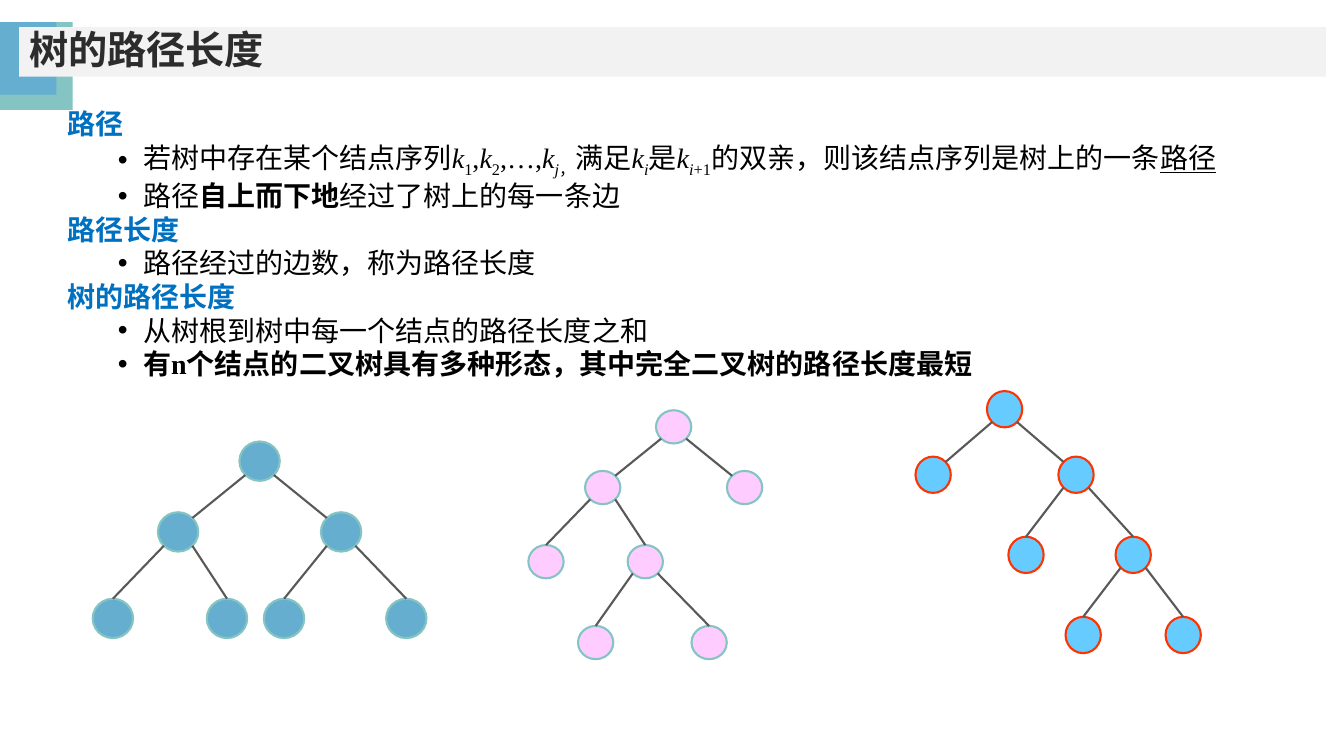
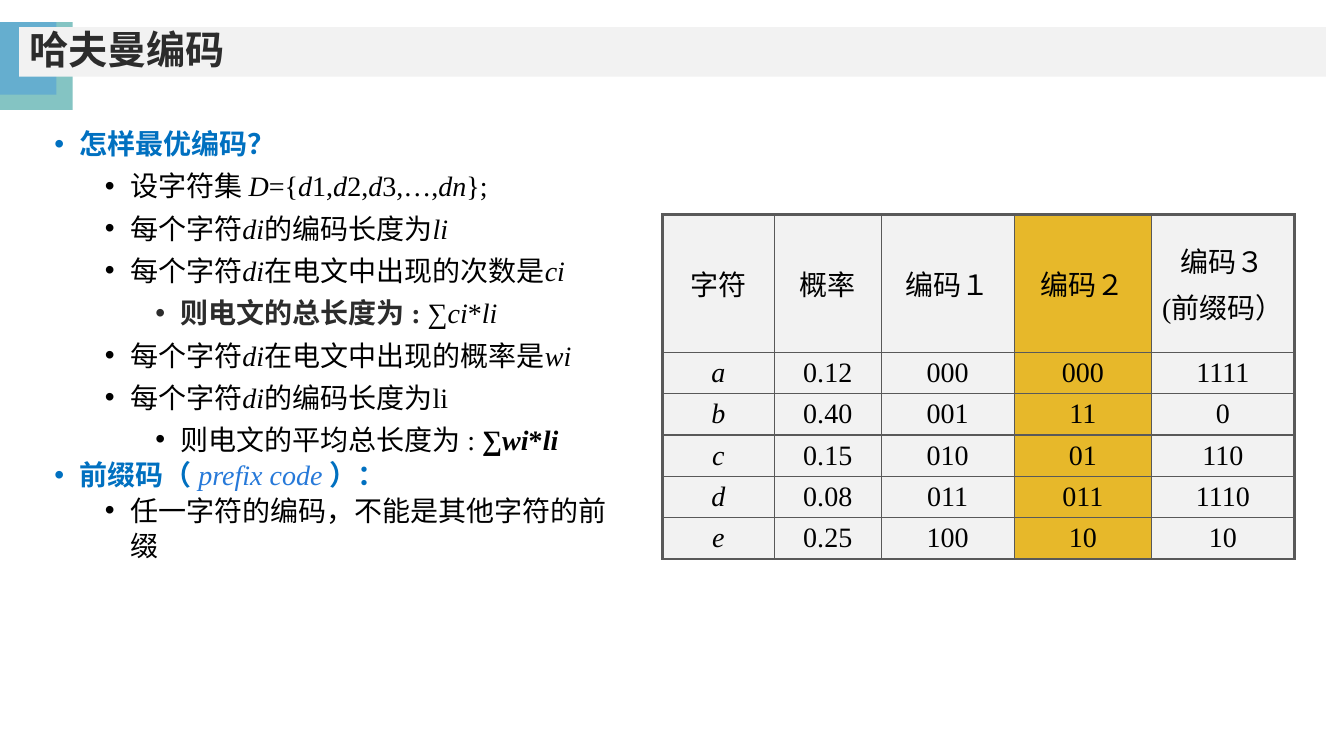
from math import sqrt

from lxml import etree
from pptx import Presentation
from pptx.dml.color import RGBColor
from pptx.enum.shapes import MSO_CONNECTOR, MSO_SHAPE
from pptx.enum.text import MSO_ANCHOR, MSO_AUTO_SIZE, PP_ALIGN
from pptx.oxml.ns import qn
from pptx.util import Inches, Pt

RECT, OVAL = MSO_SHAPE.RECTANGLE, MSO_SHAPE.OVAL
STRAIGHT = MSO_CONNECTOR.STRAIGHT
MIDDLE, TOP = MSO_ANCHOR.MIDDLE, MSO_ANCHOR.TOP
LEFT, CENTER = PP_ALIGN.LEFT, PP_ALIGN.CENTER
NO_FIT = MSO_AUTO_SIZE.NONE

SANS, SERIF, LATIN = "Noto Sans CJK SC", "Times New Roman", "Arial"
BLUE, TEAL, PALE, INK = "65AECF", "84C4C3", "F2F2F2", "2C2C2C"
HEADING, BLACK, EDGE, GOLD = "0070C0", "000000", "595959", "E7B82A"
LINK_BLUE = "2679D9"
TITLE_BOX = (0.19, 0.27, 12.96, 0.49)
BANDS = [((0, 0.22, 0.72, 0.87), TEAL), ((0, 0.22, 0.56, 0.72), BLUE)]

STYLES = {
    "h": dict(font=SANS, color=HEADING, bold=True),
    "i": dict(italic=True),
    "b": dict(bold=True),
    "u": dict(underline=True),
    "s": dict(baseline=-25),
    "d": dict(color=INK),
    "l": dict(color=LINK_BLUE),
}

K, DI, LI, D = ("k", "i"), ("di", "i"), ("li", "i"), ("d", "i")

PATH_LINES = [
    (0, [("路径", "h")]),
    (1, ["若树中存在某个结点序列", K, ("1", "s"), ",", K, ("2", "s"), ",…,",
         K, ("j", "is"), ("，", "s"), "满足", K, ("i", "is"), "是",
         K, ("i", "is"), ("+1", "s"), "的双亲，则该结点序列是树上的一条",
         ("路径", "u")]),
    (1, ["路径", ("自上而下地", "b"), "经过了树上的每一条边"]),
    (0, [("路径长度", "h")]),
    (1, ["路径经过的边数，称为路径长度"]),
    (0, [("树的路径长度", "h")]),
    (1, ["从树根到树中每一个结点的路径长度之和"]),
    (1, [("有n个结点的二叉树具有多种形态，其中完全二叉树的路径长度最短", "b")]),
]

CODE_LINES = [
    (0, [("怎样最优编码？", "h")]),
    (1, ["设字符集 ", ("D", "i"), "={", D, "1,", D, "2,", D, "3,…,",
         ("dn", "i"), "};"]),
    (1, ["每个字符", DI, "的编码长度为", LI]),
    (1, ["每个字符", DI, "在电文中出现的次数是", ("ci", "i")]),
    (2, [("则电文的总长度为 : ", "bd"), "∑", ("ci", "i"), "*", LI]),
    (1, ["每个字符", DI, "在电文中出现的概率是", ("wi", "i")]),
    (1, ["每个字符", DI, "的编码长度为li"]),
    (2, ["则电文的平均总长度为 : ", ("∑", "b"), ("wi", "bi"), ("*", "b"),
         ("li", "bi")]),
]

PREFIX_LINES = [
    (0, [("前缀码（ ", "h"), ("prefix code ", "il"), ("）：", "h")]),
    (1, ["任一字符的编码，不能是其他字符的前缀"]),
]

TREES = [
    dict(box=(0.92, 4.38, 3.31, 1.95), node=(0.4, 0.39), fill=BLUE, line=TEAL,
         nodes=[(18, 0, None), (8, 9, 0), (28, 9, 0), (0, 20, 1),
                (14, 20, 1), (21, 20, 2), (36, 20, 2)]),
    dict(box=(9.08, 3.88, 2.83, 2.6), node=(0.35, 0.36), fill="66CCFF",
         line="FF3300",
         nodes=[(10, 0, None), (0, 9, 0), (20, 9, 0), (13, 20, 2),
                (28, 20, 2), (21, 31, 4), (35, 31, 4)]),
    dict(box=(5.24, 4.07, 2.32, 2.47), node=(0.35, 0.33), fill="FFCCFF",
         line=TEAL,
         nodes=[(18, 0, None), (8, 9, 0), (28, 9, 0), (0, 20, 1),
                (14, 20, 1), (7, 32, 4), (23, 32, 4)]),
]

COLUMNS = [1.11, 1.06, 1.32, 1.36, 1.42]
CODES = [
    ["字符", "概率", "编码１", "编码２", "编码３\n(前缀码）"],
    ["a", "0.12", "000", "000", "1111"],
    ["b", "0.40", "001", "11", "0"],
    ["c", "0.15", "010", "01", "110"],
    ["d", "0.08", "011", "011", "1110"],
    ["e", "0.25", "100", "10", "10"],
]


def rgb(color):
    return RGBColor.from_string(color)


def inches(box):
    return [Inches(v) for v in box]


def place(sp, box):
    sp.left, sp.top, sp.width, sp.height = inches(box)


def paint(sp, color):
    sp.fill.solid()
    sp.fill.fore_color.rgb = rgb(color)


def add_text(p, text, font=SERIF, size=20, color=BLACK, bold=False,
             italic=False, underline=False, baseline=0):
    r = p.add_run()
    r.text = text
    f = r.font
    f.name, f.size, f.bold, f.italic = font, Pt(size), bold, italic
    f.color.rgb = rgb(color)
    if underline:
        f.underline = True
    rpr = r._r.get_or_add_rPr()
    if baseline:
        rpr.set("baseline", str(baseline * 1000))
    etree.SubElement(rpr, qn("a:ea")).set("typeface", SANS)


def add_shape(shapes, kind, box, fill, line=None):
    sp = shapes.add_shape(kind, *inches(box))
    sp.shadow.inherit = False
    paint(sp, fill)
    if line:
        sp.line.color.rgb = rgb(line)
        sp.line.width = Pt(1.5)
    else:
        sp.line.fill.background()
    return sp


def add_edge(shapes, start, end):
    edge = shapes.add_connector(STRAIGHT, *inches(start + end))
    edge.line.color.rgb = rgb(EDGE)
    edge.line.width = Pt(1.5)
    etree.SubElement(edge._element.spPr, qn("a:effectLst"))


def move_bands_to_layout(s):
    for number, (box, color) in enumerate(BANDS):
        band = add_shape(s.shapes, RECT, box, color)
        band._element.nvSpPr.cNvPr.set("id", str(20 + number))
        s.slide_layout.shapes._spTree.append(band._element)


def add_title(s, text):
    sp = s.shapes.title
    place(sp, TITLE_BOX)
    paint(sp, PALE)
    tf = sp.text_frame
    tf.auto_size, tf.vertical_anchor = NO_FIT, MIDDLE
    p = tf.paragraphs[0]
    p.alignment, p.line_spacing = LEFT, 0.9
    add_text(p, text, font=LATIN, size=28, color=INK, bold=True)


def set_indent(p, left, bullet):
    ppr = p._p.get_or_add_pPr()
    ppr.set("marL", str(Inches(left)))
    ppr.set("indent", str(Inches(-0.25 if bullet else 0)))
    if bullet:
        etree.SubElement(ppr, qn("a:buFont")).set("typeface", LATIN)
        etree.SubElement(ppr, qn("a:buChar")).set("char", "•")
    else:
        etree.SubElement(ppr, qn("a:buNone"))


def add_line(p, level, parts, bullet, spacing, before):
    p.level = level
    set_indent(p, level * 0.5 + (0.25 if bullet else 0), bullet)
    p.alignment, p.line_spacing, p.space_before = LEFT, spacing, Pt(before)
    for part in parts:
        text, flags = (part, "") if isinstance(part, str) else part
        fmt = {}
        for flag in flags:
            fmt.update(STYLES[flag])
        add_text(p, text, **fmt)


def add_list(s, box, sections, heading_bullets=False, spacing=1.0):
    sp = s.placeholders[1]
    place(sp, box)
    tf = sp.text_frame
    tf.word_wrap, tf.auto_size, tf.vertical_anchor = True, NO_FIT, TOP
    p = None
    for lines, gap in sections:
        for level, parts in lines:
            p = tf.add_paragraph() if p else tf.paragraphs[0]
            add_line(p, level, parts, heading_bullets or level > 0, spacing,
                     gap if level else 0)


def add_tree(s, box, node, fill, line, nodes):
    x, y, w, h = box
    nw, nh = node
    col = (w - nw) / max(n[0] for n in nodes)
    row = (h - nh) / max(n[1] for n in nodes)
    centers = [(x + nw / 2 + c * col, y + nh / 2 + r * row)
               for c, r, _ in nodes]
    dx, dy = nw / 2 * sqrt(0.5), nh / 2 * sqrt(0.5)
    shapes = s.shapes.add_group_shape().shapes
    for (cx, cy), (_, _, parent) in zip(centers, nodes):
        add_shape(shapes, OVAL, (cx - nw / 2, cy - nh / 2, nw, nh), fill, line)
        if parent is None:
            continue
        px, py = centers[parent]
        side = 1 if cx > px else -1
        end = (cx - side * dx, cy - dy) if parent == 0 else (cx, cy - nh / 2)
        add_edge(shapes, (px + side * dx, py + dy), end)


def set_border(cell, side, width):
    ln = etree.SubElement(cell._tc.get_or_add_tcPr(), qn("a:ln" + side))
    ln.set("w", str(Pt(width)))
    fill = etree.SubElement(ln, qn("a:solidFill"))
    etree.SubElement(fill, qn("a:srgbClr")).set("val", EDGE)


def fill_cell(cell, text, fill, italic, anchor):
    paint(cell, fill)
    cell.vertical_anchor = anchor
    tf = cell.text_frame
    for i, line in enumerate(text.split("\n")):
        p = tf.add_paragraph() if i else tf.paragraphs[0]
        p.alignment = CENTER
        if i:
            p.space_before = Pt(4)
        add_text(p, line, italic=italic)


def add_code_table(s, box):
    last_row, last_col = len(CODES) - 1, len(COLUMNS) - 1
    table = s.shapes.add_table(len(CODES), len(COLUMNS), *inches(box)).table
    table.first_row = table.horz_banding = False
    for c, width in enumerate(COLUMNS):
        table.columns[c].width = Inches(width)
    for r, values in enumerate(CODES):
        table.rows[r].height = Inches(0.41 if r else 0.79)
        for c, text in enumerate(values):
            cell = table.cell(r, c)
            outer = dict(L=c == 0, R=c == last_col, T=r == 0, B=r == last_row)
            for side, thick in outer.items():
                set_border(cell, side, 2.25 if thick else 1)
            fill_cell(cell, text, GOLD if c == 3 else PALE,
                      r > 0 and c == 0, TOP if r else MIDDLE)


def build_path_slide(s):
    add_title(s, "树的路径长度")
    add_list(s, (0.57, 1.01, 12.22, 2.77), [(PATH_LINES, 0)])
    for tree in TREES:
        add_tree(s, **tree)


def build_code_slide(s):
    add_title(s, "哈夫曼编码")
    add_list(s, (0.44, 1.19, 5.96, 4.16), [(CODE_LINES, 5), (PREFIX_LINES, 0)],
             heading_bullets=True, spacing=1.05)
    add_code_table(s, (6.57, 2.13, 6.27, 3))


def main():
    prs = Presentation()
    prs.slide_width, prs.slide_height = Inches(13.33), Inches(7.5)
    layout = prs.slide_layouts[1]
    path_slide = prs.slides.add_slide(layout)
    move_bands_to_layout(path_slide)
    build_path_slide(path_slide)
    build_code_slide(prs.slides.add_slide(layout))
    prs.save("out.pptx")


if __name__ == "__main__":
    main()
